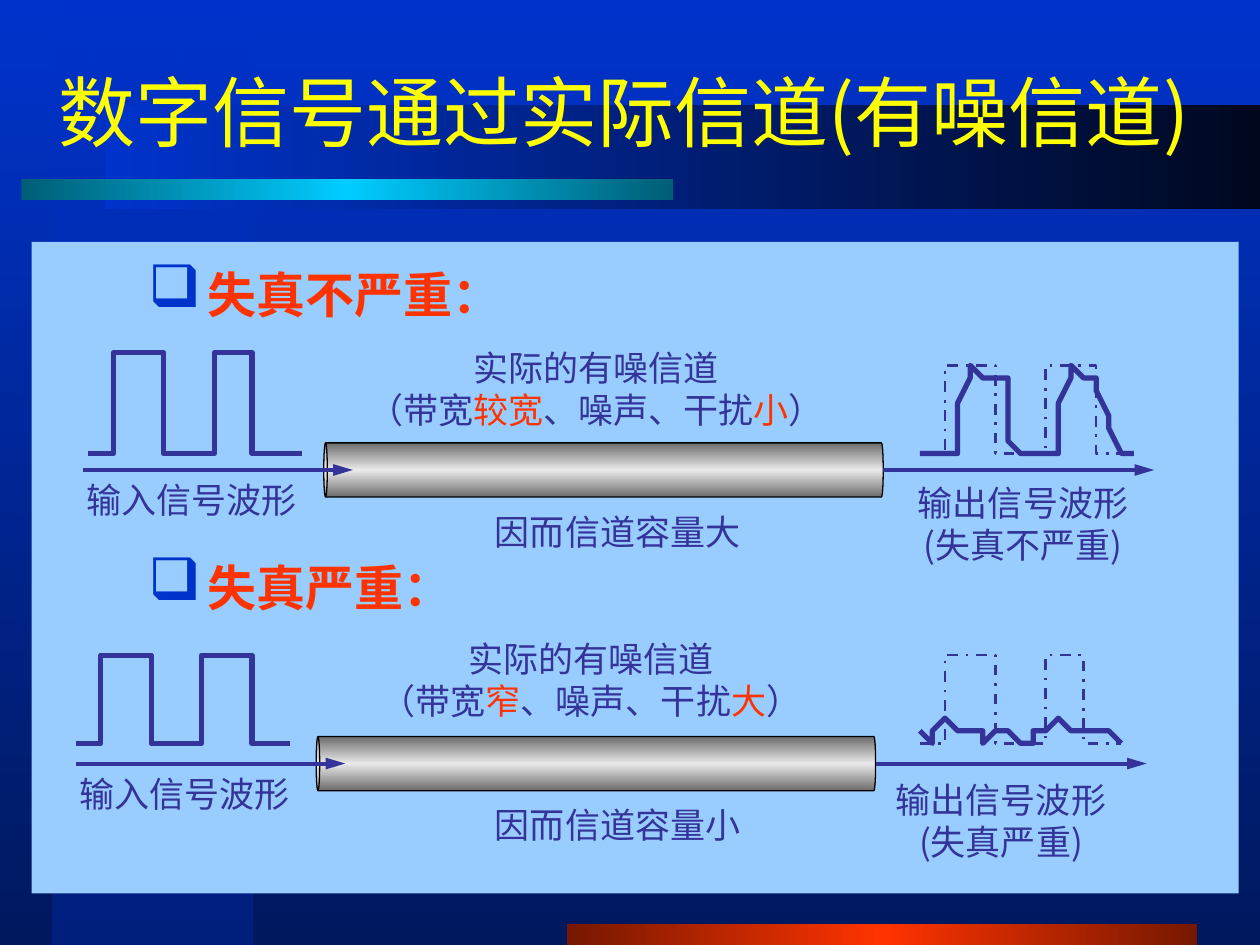
import dataclasses
import itertools

import pptx
import pptx.dml.color
import pptx.enum.dml
import pptx.enum.shapes
import pptx.enum.text
import pptx.oxml.ns
import pptx.util
from lxml import etree

COLUMNS, ROWS = 100, 75
CELL = pptx.util.Inches(0.1)
CENTER = pptx.enum.text.PP_ALIGN.CENTER
LEFT = pptx.enum.text.PP_ALIGN.LEFT
SHAPES = pptx.enum.shapes.MSO_SHAPE


@dataclasses.dataclass(frozen=True)
class Theme:
    ink: str = "333399"
    accent: str = "FF3300"
    heading: str = "FFFF01"
    bullet: str = "0033CC"
    panel: str = "99CCFF"
    outline: str = "000000"
    backdrop: tuple = ("0033CC", "00185E")
    side_band: tuple = ("0033CC", "00207E")
    top_band: tuple = ("0033CC", "00081F")
    red_bar: tuple = ("761800", "FF3300", "761800")
    cyan_bar: tuple = ("005E76", "00CCFF", "005E76")
    pipe: tuple = ("6C6C6C", "EAEAEA", "6C6C6C")
    title_size: int = 44
    heading_size: int = 28
    label_size: int = 20
    east_asian: str = "Noto Sans CJK SC"
    latin: str = "Times New Roman"


def rgb(value):
    return pptx.dml.color.RGBColor.from_string(value)


def child(parent, tag, **attributes):
    return etree.SubElement(parent, pptx.oxml.ns.qn(tag), **attributes)


def write_run(paragraph, text, *, size, color, font, east_asian, bold=False):
    run = paragraph.add_run()
    run.text = text
    run.font.size = pptx.util.Pt(size)
    run.font.bold = bold
    run.font.color.rgb = rgb(color)
    run.font.name = font
    child(run.font._element if hasattr(run.font, "_element") else run._r.get_or_add_rPr(),
          "a:ea", typeface=east_asian)


def paint_gradient(fill, colors, vertical=False, first_alpha=None):
    fill.gradient()
    fill.gradient_angle = 270 if vertical else 0
    stops = fill.gradient_stops[0]._gs.getparent()
    for stop in list(stops):
        stops.remove(stop)
    for index, color in enumerate(colors):
        stop = child(stops, "a:gs", pos=str(100000 * index // (len(colors) - 1)))
        tint = child(stop, "a:srgbClr", val=color)
        if index == 0 and first_alpha:
            child(tint, "a:alpha", val=str(first_alpha * 1000))


def cells(*values):
    return [round(value * CELL) for value in values]


class SignalSlide:
    """Draws the parts of one signal slide on a grid in a single theme."""

    def __init__(self, deck, theme):
        self.theme = theme
        self.slide = deck.slides.add_slide(deck.slide_layouts[5])
        self.shapes = self.slide.shapes
        paint_gradient(self.slide.background.fill, theme.backdrop, vertical=True)

    def block(self, *box, colors, kind=SHAPES.RECTANGLE, **gradient):
        block = self.shapes.add_shape(kind, *cells(*box))
        block.shadow.inherit = False
        block.line.fill.background()
        if isinstance(colors, str):
            block.fill.solid()
            block.fill.fore_color.rgb = rgb(colors)
        else:
            paint_gradient(block.fill, colors, **gradient)
        return block

    def pipe(self, left, top, length, thickness):
        inset = (length - thickness) / 2
        pipe = self.block(left + inset, top - inset, thickness, length,
                          colors=self.theme.pipe, kind=SHAPES.CAN)
        pipe.rotation = 270
        pipe.adjustments[0] = 0.065
        pipe.line.color.rgb = rgb(self.theme.outline)
        pipe.line.width = pptx.util.Pt(0.75)

    def trace(self, points, width=3, dash=None):
        builder = self.shapes.build_freeform(*points[0], scale=CELL)
        builder.add_line_segments(points[1:], close=False)
        trace = builder.convert_to_shape()
        trace.shadow.inherit = False
        trace.fill.background()
        trace.line.color.rgb = rgb(self.theme.ink)
        trace.line.width = pptx.util.Pt(width)
        trace.line.dash_style = dash

    def pulses(self, left, base, **style):
        height, lead, step, tail = 7.2, 2.3, 3.83, 3.08
        edges = [left + lead + step * edge for edge in range(4)]
        levels = itertools.cycle((base, base - height))
        points = [(left, next(levels))]
        for edge in edges:
            points += [(edge, points[-1][1]), (edge, next(levels))]
        self.trace(points + [(edges[-1] + tail, base)], **style)

    def arrow(self, left, right, row):
        arrow = self.shapes.add_connector(
            pptx.enum.shapes.MSO_CONNECTOR.STRAIGHT, *cells(left, row, right, row))
        arrow.line.color.rgb = rgb(self.theme.ink)
        arrow.line.width = pptx.util.Pt(2.25)
        child(arrow.line._get_or_add_ln(), "a:tailEnd", type="triangle", w="med", len="lg")
        child(arrow._element.spPr, "a:effectLst")

    def title(self, text, *box):
        title = self.shapes.title
        title.left, title.top, title.width, title.height = cells(*box)
        self.shapes._spTree.append(title._element)
        title.text_frame.vertical_anchor = pptx.enum.text.MSO_ANCHOR.MIDDLE
        paragraph = title.text_frame.paragraphs[0]
        paragraph.alignment = CENTER
        write_run(paragraph, text, size=self.theme.title_size, color=self.theme.heading,
                  font=self.theme.east_asian, east_asian=self.theme.east_asian)

    def heading(self, text, *box):
        frame = self.shapes.add_textbox(*cells(*box)).text_frame
        frame.word_wrap = True
        paragraph = frame.paragraphs[0]
        paragraph.line_spacing = 1.1
        properties = paragraph._p.get_or_add_pPr()
        indent = cells(4.7)[0]
        properties.set("marL", str(indent))
        properties.set("indent", str(-indent))
        child(child(properties, "a:buClr"), "a:srgbClr", val=self.theme.bullet)
        child(properties, "a:buSzPct", val="120000")
        child(properties, "a:buChar", char="❑")
        write_run(paragraph, text, size=self.theme.heading_size, color=self.theme.accent,
                  font=self.theme.east_asian, east_asian=self.theme.east_asian, bold=True)

    def label(self, lines, *box, align=CENTER, font=None):
        frame = self.shapes.add_textbox(*cells(*box)).text_frame
        frame.word_wrap = False
        for index, line in enumerate(lines):
            paragraph = frame.add_paragraph() if index else frame.paragraphs[0]
            paragraph.alignment = align
            for text, color in zip(line, itertools.cycle((self.theme.ink, self.theme.accent))):
                write_run(paragraph, text, size=self.theme.label_size, color=color,
                          font=font or self.theme.east_asian,
                          east_asian=self.theme.east_asian)

    def channel(self, left, row, case):
        latin = self.theme.latin
        self.pipe(left + 19.1, row - 2.15, 44.4, 4.3)
        self.pulses(left + 0.1, row - case["input_rise"])
        self.arrow(left, left + 21.4, row)
        self.pulses(left + 66.6, row - case["output_rise"], width=1.5,
                    dash=pptx.enum.dml.MSO_LINE.DASH_DOT)
        self.arrow(left + 63.5, left + 85, row)
        self.trace(case["received"])
        self.label([["实际的有噪信道"], ["（带宽", case["band"], "、噪声、干扰", case["noise"], "）"]],
                   *case["channel_box"], font=latin)
        self.label([["输入信号波形"]], left - 0.7, row + 0.2, 18.7, 4.4, align=LEFT)
        self.label([["输出信号波形"], [f"({case['verdict']})"]], *case["output_box"])
        self.label([[f"因而信道容量{case['capacity']}"]], 38.3, row + 2.7, 21.5, 4.4,
                   align=LEFT, font=latin)


MILD = dict(
    verdict="失真不严重", band="较宽", noise="小", capacity="大",
    input_rise=1.8, output_rise=1.4,
    channel_box=(28.2, 27, 38.2, 7.7), output_box=(70.7, 37.7, 21, 7.7),
    received=[
        (73.4, 35.8), (74.3, 36), (74.6, 35.9), (75, 35.7), (75.8, 35.7), (76.2, 34.4),
        (76.2, 32.9), (76.5, 31.8), (76.7, 30.5), (77, 29.3), (77.4, 29.1), (78.5, 29.5),
        (79.1, 29.5), (79.5, 30.3), (79.7, 32.4), (80, 34.6), (80.5, 35.3), (81.4, 35.7),
        (82, 35.8), (82.2, 35.7), (83.2, 36), (83.5, 35.8), (83.8, 35.1), (84.1, 33.8),
        (84.3, 31.6), (84.7, 30.3), (85.2, 29.4), (86.2, 29.7), (86.6, 30.1), (87.2, 30.1),
        (87.4, 31.1), (87.7, 33.1), (88.1, 34.5), (88.7, 35.6), (89.7, 35.9)])
SEVERE = dict(
    verdict="失真严重", band="窄", noise="大", capacity="小",
    input_rise=1.5, output_rise=1.5,
    channel_box=(29.2, 50.1, 35.4, 7.7), output_box=(69.3, 61.3, 20.3, 7.7),
    received=[
        (72.7, 58.4), (73.6, 58.7), (74, 58.7), (74.5, 58.1), (75.3, 57.3), (75.5, 57.6),
        (75.7, 58.4), (75.9, 57.9), (76.2, 58), (76.7, 58), (77.9, 58.3), (78.3, 58.6),
        (79.2, 58), (80.1, 58.3), (80.8, 58.6), (81.7, 58.6), (82.5, 58.1), (82.9, 57.8),
        (83.1, 58.4), (83.4, 57.5), (83.8, 57.4), (84.7, 57.7), (85.4, 57.8), (86, 58.2),
        (86.6, 58.5), (86.9, 58.1), (87.2, 58.3), (87.5, 57.8), (88.2, 58.5), (88.9, 58.6)])


def main():
    deck = pptx.Presentation()
    deck.slide_width, deck.slide_height = cells(COLUMNS, ROWS)
    theme = Theme()
    page = SignalSlide(deck, theme)
    page.block(4.2, 0, 15.8, ROWS, colors=theme.side_band, vertical=True, first_alpha=50)
    page.block(45, 73.3, 50, 1.7, colors=theme.red_bar)
    page.block(8.3, 8.3, 91.7, 8.3, colors=theme.top_band)
    page.block(1.7, 14.2, 51.7, 1.7, colors=theme.cyan_bar)
    page.block(2.5, 19.2, 95.8, 51.7, colors=theme.panel)
    page.title("数字信号通过实际信道(有噪信道)", 0, 2.5, 99, 12.5)
    page.heading("失真不严重：", 10.8, 20, 32.5, 6.7)
    page.heading("失真严重：", 10.8, 43.3, 29.2, 6.7)
    page.channel(6.6, 37.3, MILD)
    page.channel(6, 60.6, SEVERE)
    deck.save("out.pptx")


if __name__ == "__main__":
    main()
